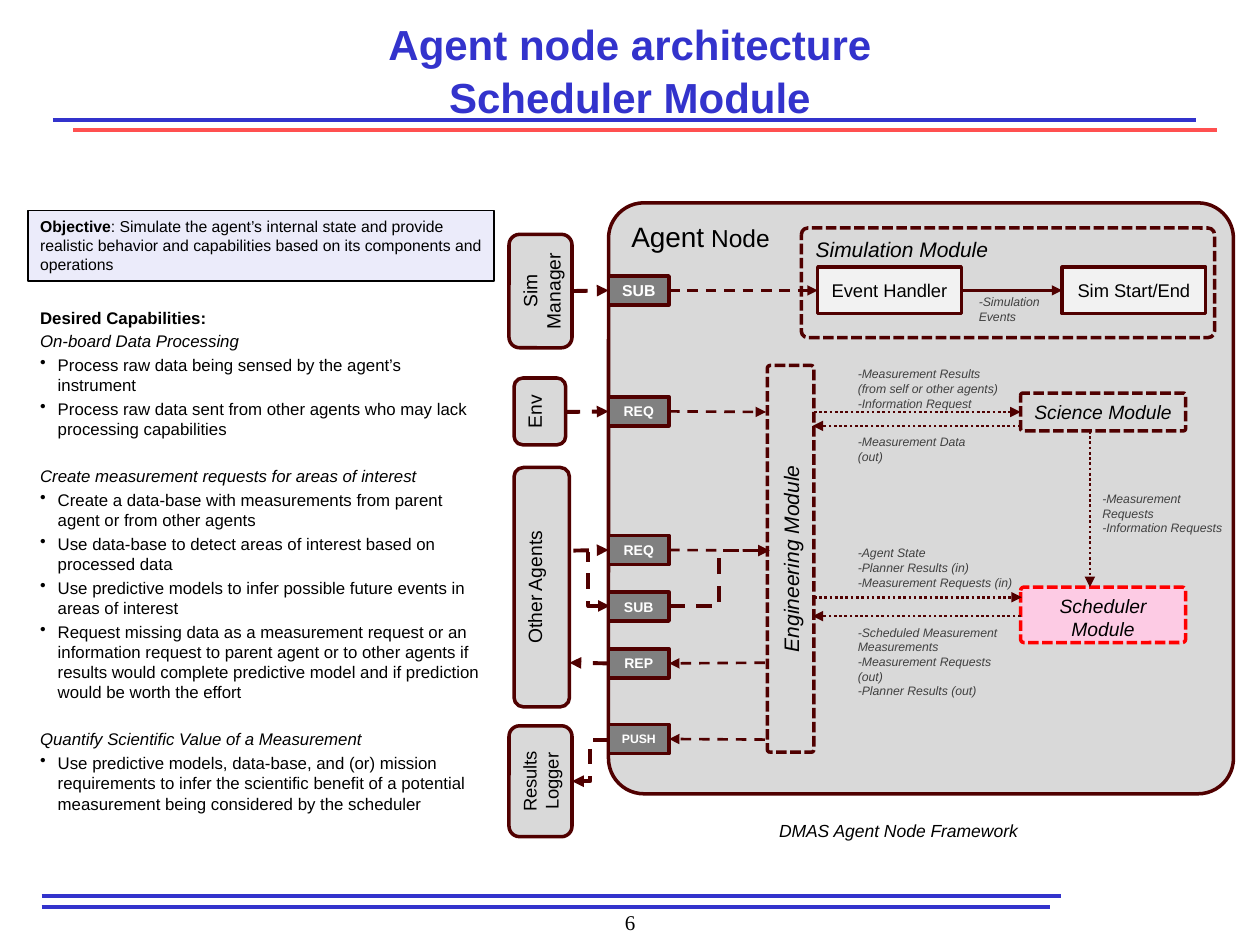
"""Build the agent node architecture slide about the scheduler module."""
from lxml.etree import SubElement
from pptx import Presentation
from pptx.dml.color import RGBColor
from pptx.enum.dml import MSO_LINE as Dash
from pptx.enum.shapes import MSO_CONNECTOR as Conn, MSO_SHAPE as Kind
from pptx.enum.text import MSO_ANCHOR as Anchor, PP_ALIGN as Align
from pptx.oxml.ns import qn
from pptx.util import Inches, Pt

hue = RGBColor.from_string
MAROON, GRAY, BLUE = "500000", "D9D9D9", "3333CC"
RECT, ROUND = Kind.RECTANGLE, Kind.ROUNDED_RECTANGLE

deck = Presentation()
deck.slide_width, deck.slide_height = Inches(10), Inches(7.5)
slide = deck.slides.add_slide(deck.slide_layouts[6])
shapes = slide.shapes


def box(text, x, y, w, h, size, kind=None, fill=None, line=MAROON, dash=None, adj=None,
        turn=0, color="000000", bold=False, italic=False, align=Align.LEFT,
        anchor=Anchor.TOP, side=0.1, face="Arial", width=2):
    place = [Inches(n) for n in (x, y, w, h)]
    if kind is None:
        shape = shapes.add_textbox(*place)
    else:
        shape = shapes.add_shape(kind, *place)
        shape.shadow.inherit = False
        shape.rotation = turn
        if fill:
            shape.fill.solid()
            shape.fill.fore_color.rgb = hue(fill)
        else:
            shape.fill.background()
        shape.line.color.rgb = hue(line)
        shape.line.width = Pt(width)
        if dash:
            shape.line.dash_style = dash
        if adj:
            shape.adjustments[0] = adj
    frame = shape.text_frame
    frame.word_wrap = True
    frame.vertical_anchor = anchor
    frame.margin_left = frame.margin_right = Inches(side)
    frame.text = text
    for par in frame.paragraphs:
        par.alignment = align
        font = par.font
        font.name, font.size, font.bold, font.italic = face, Pt(size), bold, italic
        font.color.rgb = hue(color)
    return shape


def wire(start, end, width=1.5, dash=None, tip="tailEnd", color=MAROON, kind=Conn.STRAIGHT):
    ends = [(0, 0) if hasattr(p[0], "shape_id") else p for p in (start, end)]
    link = shapes.add_connector(kind, *[Inches(n) for p in ends for n in p])
    if hasattr(start[0], "shape_id"):
        link.begin_connect(*start)
    if hasattr(end[0], "shape_id"):
        link.end_connect(*end)
    link.line.color.rgb = hue(color)
    link.line.width = Pt(width)
    if dash:
        link.line.dash_style = dash
    if tip:
        SubElement(link.line._ln, qn("a:" + tip), type="triangle")
    SubElement(link._element.spPr, qn("a:effectLst"))
    return link


for left, right, y, color, width in [
        (0.42, 9.49, 0.95, BLUE, 2.25), (0.58, 9.66, 1.03, "FF5050", 2.25),
        (0.33, 8.33, 7.2, BLUE, 2), (0.33, 8.42, 7.11, BLUE, 2)]:
    wire((left, y), (right, y), width, tip=None, color=color)

title = box("Agent node architecture\vScheduler Module", 1.25, 0.08, 7.5, 0.9, 24,
            color=BLUE, bold=True, align=Align.CENTER)
title.text_frame.paragraphs[0].line_spacing = 1.05
box("6", 4.29, 7.17, 1.42, 0.33, 12, align=Align.CENTER, face="Times New Roman")

node = box("Agent", 4.83, 1.61, 4.96, 4.69, 16, ROUND, GRAY, adj=0.06)
run = node.text_frame.paragraphs[0].add_run()
run.text = " Node"
run.font.size = Pt(14)

for text, x, y, w, h, size in [
        ("Sim Manager", 3.84, 2.06, 0.9, 0.5, 11), ("Env", 4.02, 3.06, 0.53, 0.41, 11),
        ("Other Agents", 3.35, 4.44, 1.9, 0.44, 11),
        ("Results Logger", 3.85, 5.95, 0.88, 0.5, 10.5)]:
    box(text, x, y, w, h, size, ROUND, GRAY, turn=270, align=Align.CENTER)

ports = [box(text, 4.83, y, 0.48, 0.23, size, RECT, "808080", color="FFFFFF", bold=True,
             align=Align.CENTER, anchor=Anchor.MIDDLE, side=0)
         for text, y, size in [("SUB", 2.19, 9), ("REQ", 3.15, 8), ("REQ", 4.25, 8),
                               ("SUB", 4.7, 8), ("REP", 5.15, 8), ("PUSH", 5.75, 7)]]
sim, env, ask, sub, rep, push = ports

box("Engineering Module", 4.74, 4.25, 3.07, 0.37, 12, ROUND, dash=Dash.SQUARE_DOT, adj=0.06,
    turn=270, italic=True, align=Align.CENTER, anchor=Anchor.MIDDLE)
box("Simulation Module", 6.36, 1.81, 3.28, 0.87, 12, ROUND, dash=Dash.SQUARE_DOT, adj=0.06,
    italic=True)
science, plan = [
    box(text, 8.1, y, 1.31, h, 11, ROUND, fill, line, Dash.SQUARE_DOT, 0.06,
        italic=True, align=Align.CENTER)
    for text, y, h, fill, line in [("Science Module", 3.12, 0.3, None, MAROON),
                                   ("Scheduler Module", 4.66, 0.44, "FDCBE4", "FF0000")]]
event, start = [
    box(text, x, 2.12, 1.14, 0.37, 10.5, RECT, "F2F2F2", align=Align.CENTER,
        anchor=Anchor.MIDDLE, side=0)
    for text, x in [("Event Handler", 6.49), ("Sim Start/End", 8.43)]]

for port, x, y in [(sim, 4.54, 2.31), (env, 4.48, 3.27), (ask, 4.55, 4.37)]:
    wire((x, y), (port, 1), 2.25, Dash.DASH)
wire((rep, 1), (4.52, 5.26), 2.25, Dash.DASH)
wire((sim, 3), (event, 1), dash=Dash.DASH)
wire((event, 3), (start, 1))
for port, x, y in [(env, 6.08, 3.27), (ask, 6.1, 4.37)]:
    wire((port, 3), (x, y), dash=Dash.DASH)
for port, y in [(rep, 5.26), (push, 5.87)]:
    wire((6.07, y), (port, 3), dash=Dash.DASH)

wire((6.46, 3.27), (science, 1), dash=Dash.ROUND_DOT)
for tail, tip in [((8.1, 3.38), (6.45, 3.38)), ((6.46, 4.74), (8.11, 4.74)),
                  ((8.1, 4.89), (6.45, 4.89)), ((8.65, 3.42), (8.65, 4.66))]:
    wire(tail, tip, dash=Dash.ROUND_DOT)

wire((5.31, 4.81), (6.11, 4.37), 2.25, Dash.DASH, kind=Conn.ELBOW)
wire((4.83, 5.87), (4.54, 6.2), 2.25, Dash.DASH, kind=Conn.ELBOW)
bend = wire((4.84, 4.81), (4.67, 4.38), 2.25, Dash.DASH, "headEnd", kind=Conn.ELBOW)
bend._element.spPr.find(qn("a:prstGeom")).set("prst", "bentConnector2")

for text, x, y, w, h in [
        ("-Simulation Events", 7.67, 2.29, 0.76, 0.34),
        ("-Measurement Results (from self or other agents)\n-Information Request",
         6.71, 2.86, 1.33, 0.4),
        ("-Measurement Data (out)", 6.71, 3.4, 1.18, 0.19),
        ("-Measurement Requests\n-Information Requests", 8.65, 3.85, 1.25, 0.3),
        ("-Agent State\n-Planner Results (in)\n-Measurement Requests (in)",
         6.71, 4.28, 1.48, 0.4),
        ("-Scheduled Measurement Measurements\n-Measurement Requests (out)\n"
         "-Planner Results (out)", 6.71, 4.91, 1.39, 0.5)]:
    box(text, x, y, w, h, 7, color="404040", italic=True)
box("DMAS Agent Node Framework", 5.71, 6.46, 2.84, 0.27, 10, italic=True, align=Align.CENTER)

goals = [
    ("On-board Data Processing", [
        "Process raw data being sensed by the agent’s instrument",
        "Process raw data sent from other agents who may lack processing capabilities"]),
    ("Create measurement requests for areas of interest", [
        "Create a data-base with measurements from parent agent or from other agents",
        "Use data-base to detect areas of interest based on processed data",
        "Use predictive models to infer possible future events in areas of interest",
        "Request missing data as a measurement request or an information request to parent "
        "agent or to other agents if results would complete predictive model and if "
        "prediction would be worth the effort"]),
    ("Quantify Scientific Value of a Measurement", [
        "Use predictive models, data-base, and (or) mission requirements to infer the "
        "scientific benefit of a potential measurement being considered by the scheduler"])]
heads = [head for head, _ in goals]
lines = ["Desired Capabilities:"] + [t for head, items in goals for t in [head] + items]
body = box("\n".join(lines), 0.22, 2.39, 3.7, 3.68, 9.6)
for par in body.text_frame.paragraphs:
    par.space_before = Pt(15.4 if par.text in heads[1:] else 2)
    if par.text in heads:
        par.font.italic = True
    elif par.text == lines[0]:
        par.font.bold = True
        par.space_before = Pt(0)
    else:
        props = par._p.get_or_add_pPr()
        props.set("marL", str(Inches(0.14)))
        props.set("indent", str(-Inches(0.14)))
        mark = props.makeelement(qn("a:buChar"), {"char": "•"})
        props.find(qn("a:defRPr")).addprevious(mark)

note = box("Objective", 0.22, 1.67, 3.7, 0.56, 9, RECT, "EBEBFA", "000000", width=1)
par = note.text_frame.paragraphs[0]
par.runs[0].font.bold = True
run = par.add_run()
run.text = (": Simulate the agent’s internal state and provide realistic behavior and "
            "capabilities based on its components and operations")

deck.save("out.pptx")
